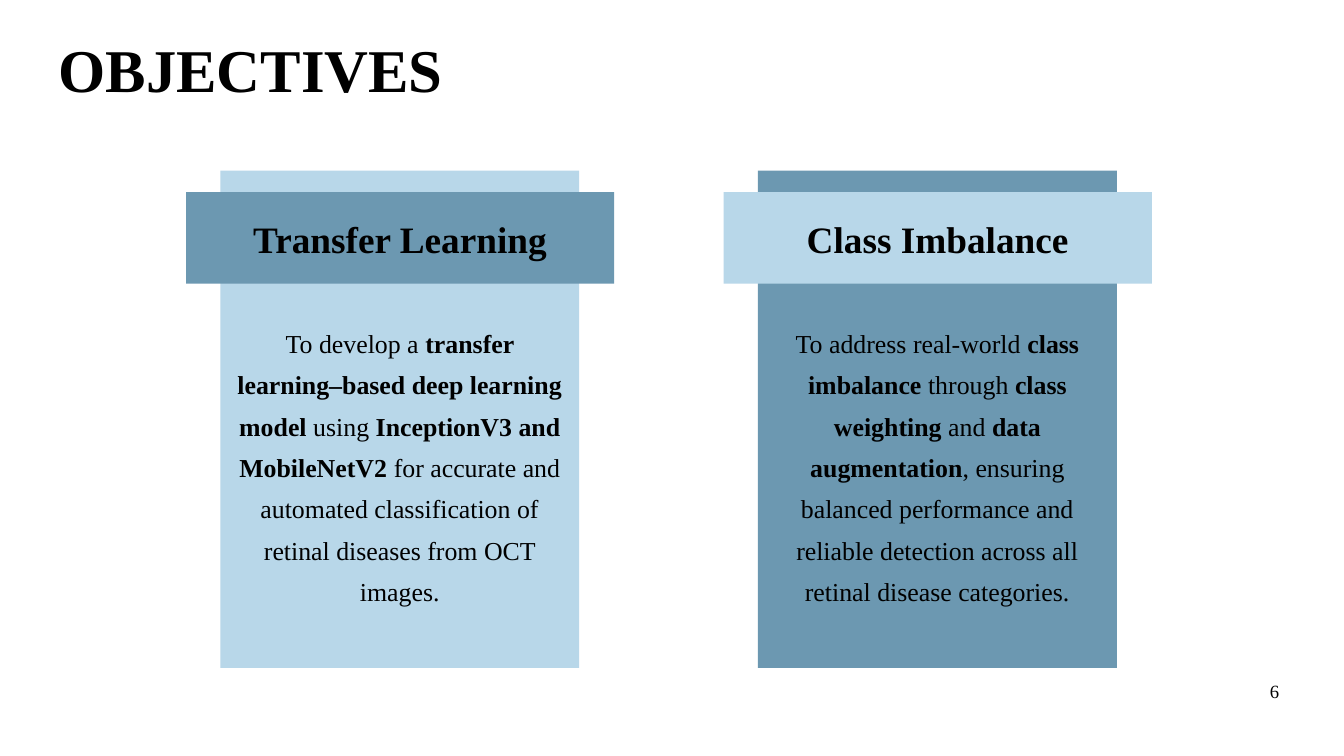
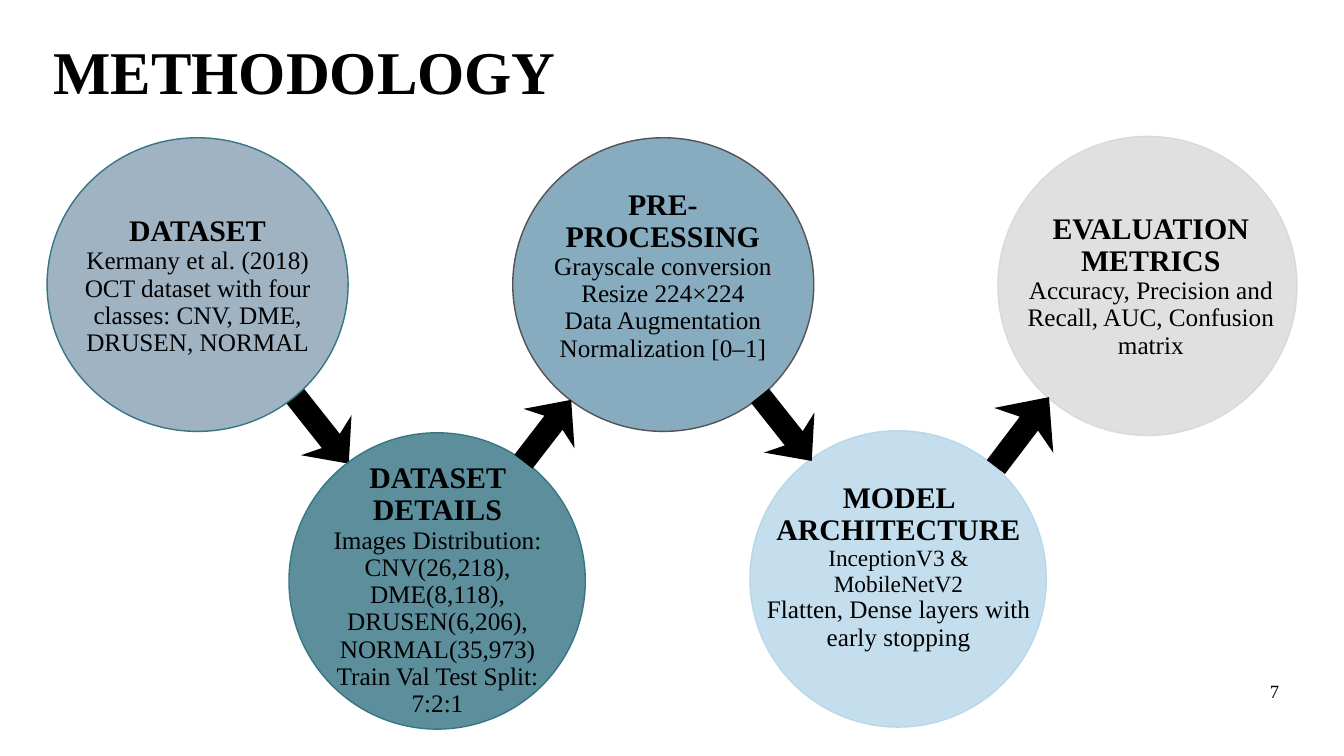
from math import hypot

from lxml import etree
from pptx import Presentation
from pptx.dml.color import RGBColor
from pptx.enum.shapes import MSO_SHAPE as Shape
from pptx.enum.text import MSO_ANCHOR as Anchor, MSO_AUTO_SIZE as AutoSize, PP_ALIGN as Align
from pptx.oxml.ns import qn
from pptx.util import Inches, Pt

COLORS = {
    "ink": "000000",
    "sky": "B8D7E9",
    "steel": "6C98B1",
    "slate": "8AA2B6",
    "teal": "377684",
    "silver": "D9D9D9",
    "graphite": "545454",
}
FONT = "Times New Roman"
TITLE_ONLY = 5

# Text styles: size and line spacing in points, weight
STYLES = {
    "card": (27.7, 44.3, False),
    "card head": (39.9, 55.8, True),
    "step head": (32, 34.6, True),
    "step": (27, 29.2, False),
    "step small": (25, 27, False),
    "number": (20, 28, False),
}

CARD_LEFTS = (3.28, 11.28)
CARDS = [
    ("Transfer Learning", "sky", "steel", [
        "To develop a ", "transfer learning–based deep learning model",
        " using ", "InceptionV3 and MobileNetV2 ",
        "for accurate and automated classification of retinal diseases from OCT images.",
    ]),
    ("Class Imbalance", "steel", "sky", [
        "To address real-world ", "class imbalance", " through ",
        "class weighting", " and ", "data augmentation",
        ", ensuring balanced performance and reliable detection across all "
        "retinal disease categories.",
    ]),
]

# Circle area, fill, outline, text area, lines with their styles
STEPS = [
    ((11.16, 6.41, 4.41, 4.41), "sky", "sky", (11.37, 6.48, 4, 3.9), [
        ("step head", "MODEL ARCHITECTURE"),
        ("step small", "InceptionV3 & MobileNetV2"),
        ("step", "Flatten, Dense layers with early stopping"),
    ]),
    ((0.7, 2.05, 4.48, 4.37), "slate", "teal", (1.23, 2.37, 3.42, 3.77), [
        ("step head", "DATASET"),
        ("step", "Kermany et al. (2018) OCT dataset with four classes: "
                 "CNV, DME, DRUSEN, NORMAL"),
    ]),
    ((14.85, 2.03, 4.45, 4.45), "silver", "silver", (15.13, 2.37, 3.99, 3.77), [
        ("step head", "EVALUATION METRICS"),
        ("step", "Accuracy, Precision and Recall, AUC, Confusion matrix"),
    ]),
    ((7.63, 2.05, 4.48, 4.37), "steel", "graphite", (7.85, 2.2, 4.03, 3.8), [
        ("step head", "PRE-"),
        ("step head", "PROCESSING"),
        ("step", "Grayscale conversion"),
        ("step", "Resize 224×224"),
        ("step", "Data Augmentation"),
        ("step", "Normalization [0–1]"),
    ]),
    ((4.3, 6.44, 4.41, 4.41), "teal", "teal", (4.94, 7.69, 3.14, 2.18), [
        ("step head", "DATASET DETAILS"),
        ("step", "Images Distribution: CNV(26,218), DME(8,118), "
                 "DRUSEN(6,206), NORMAL(35,973)"),
        ("step", "Train Val Test Split: 7:2:1"),
    ]),
]


def set_all(target, values):
    for name, value in values.items():
        setattr(target, name, value)


def rgb(name):
    return RGBColor.from_string(COLORS[name])


class Deck:
    """Holds the shared style and the slide being built."""

    def __init__(self):
        self.file = Presentation()
        set_all(self.file, {"slide_width": Inches(20), "slide_height": Inches(11.25)})
        self.page = None

    def new_page(self, title, left, top, number):
        self.page = self.file.slides.add_slide(self.file.slide_layouts[TITLE_ONLY])
        box = self.page.shapes.title
        set_all(box, {"left": Inches(left), "top": Inches(top),
                      "width": Inches(10), "height": Inches(1.19)})
        set_all(box.text_frame, {"text": title, "word_wrap": True,
                                 "auto_size": AutoSize.NONE,
                                 "vertical_anchor": Anchor.TOP})
        para = box.text_frame.paragraphs[0]
        para.alignment = Align.LEFT
        self.format_font(para.font, 65, True)
        self.text((18.88, 10.06, 0.17, 0.23), [("number", str(number))], wrap=False)

    def format_font(self, font, size, bold):
        set_all(font, {"name": FONT, "size": Pt(size), "bold": bold})
        font.color.rgb = rgb("ink")

    def text(self, area, lines, anchor=Anchor.TOP, wrap=True):
        """Write (style, text) lines; a list as text alternates plain and bold."""
        frame = self.page.shapes.add_textbox(*map(Inches, area)).text_frame
        set_all(frame, {"word_wrap": wrap, "vertical_anchor": anchor,
                        "margin_left": 0, "margin_right": 0,
                        "margin_top": 0, "margin_bottom": 0})
        for index, (style, parts) in enumerate(lines):
            size, spacing, bold = STYLES[style]
            para = frame.add_paragraph() if index else frame.paragraphs[0]
            set_all(para, {"alignment": Align.CENTER, "line_spacing": Pt(spacing)})
            parts = [parts] if isinstance(parts, str) else parts
            for position, part in enumerate(parts):
                span = para.add_run()
                span.text = part
                self.format_font(span.font, size, bold or position % 2 == 1)

    def paint(self, shape, fill, outline=None, opacity=100):
        shape.shadow.inherit = False
        shape.fill.solid()
        shape.fill.fore_color.rgb = rgb(fill)
        if opacity < 100:
            color = shape.element.spPr.find(qn("a:solidFill"))[0]
            etree.SubElement(color, qn("a:alpha"), val=str(opacity * 1000))
        if outline:
            shape.line.color.rgb = rgb(outline)
            shape.line.width = Pt(1.5)
        else:
            shape.line.fill.background()

    def rectangle(self, area, fill):
        self.paint(self.page.shapes.add_shape(Shape.RECTANGLE, *map(Inches, area)), fill)

    def circle(self, area, fill, outline):
        shape = self.page.shapes.add_shape(Shape.OVAL, *map(Inches, area))
        self.paint(shape, fill, outline, opacity=81)

    def arrow(self, tail, tip, head=1):
        """Draw a block arrow with swept barbs; head scales the arrowhead."""
        (x0, y0), (x1, y1) = tail, tip
        length = hypot(x1 - x0, y1 - y0)
        ux, uy = (x1 - x0) / length, (y1 - y0) / length
        notch, barb = length - 0.43 * head, length - 0.54 * head
        side = [(0, 0.17), (notch, 0.17), (barb, 0.48 * head)]
        outline = side + [(length, 0)] + [(along, -off) for along, off in reversed(side)]
        points = [(Inches(x0 + along * ux - off * uy), Inches(y0 + along * uy + off * ux))
                  for along, off in outline]
        builder = self.page.shapes.build_freeform(*points[0])
        builder.add_line_segments(points[1:], close=True)
        self.paint(builder.convert_to_shape(), "ink")


def build_objectives(deck):
    deck.new_page("OBJECTIVES", 0.77, 0.42, 6)
    for left, (heading, card, band, parts) in zip(CARD_LEFTS, CARDS):
        deck.rectangle((left, 2.54, 5.34, 7.4), card)
        deck.text((left + 0.2, 4.72, 4.94, 4.91), [("card", parts)])
        deck.rectangle((left - 0.51, 2.86, 6.37, 1.36), band)
        deck.text((left - 0.28, 3.11, 5.91, 0.76), [("card head", heading)])


def build_methodology(deck):
    deck.new_page("METHODOLOGY", 0.7, 0.46, 7)
    deck.arrow((4.39, 5.89), (5.19, 6.9))
    for area, fill, outline, text_area, lines in STEPS:
        deck.circle(area, fill, outline)
        deck.text(text_area, lines, anchor=Anchor.MIDDLE)
    deck.arrow((7.79, 6.87), (8.5, 5.95))
    deck.arrow((11.31, 5.89), (12.08, 6.86))
    deck.arrow((14.82, 6.95), (15.61, 5.91), head=1.15)


def main():
    deck = Deck()
    build_objectives(deck)
    build_methodology(deck)
    deck.file.save("out.pptx")


if __name__ == "__main__":
    main()
